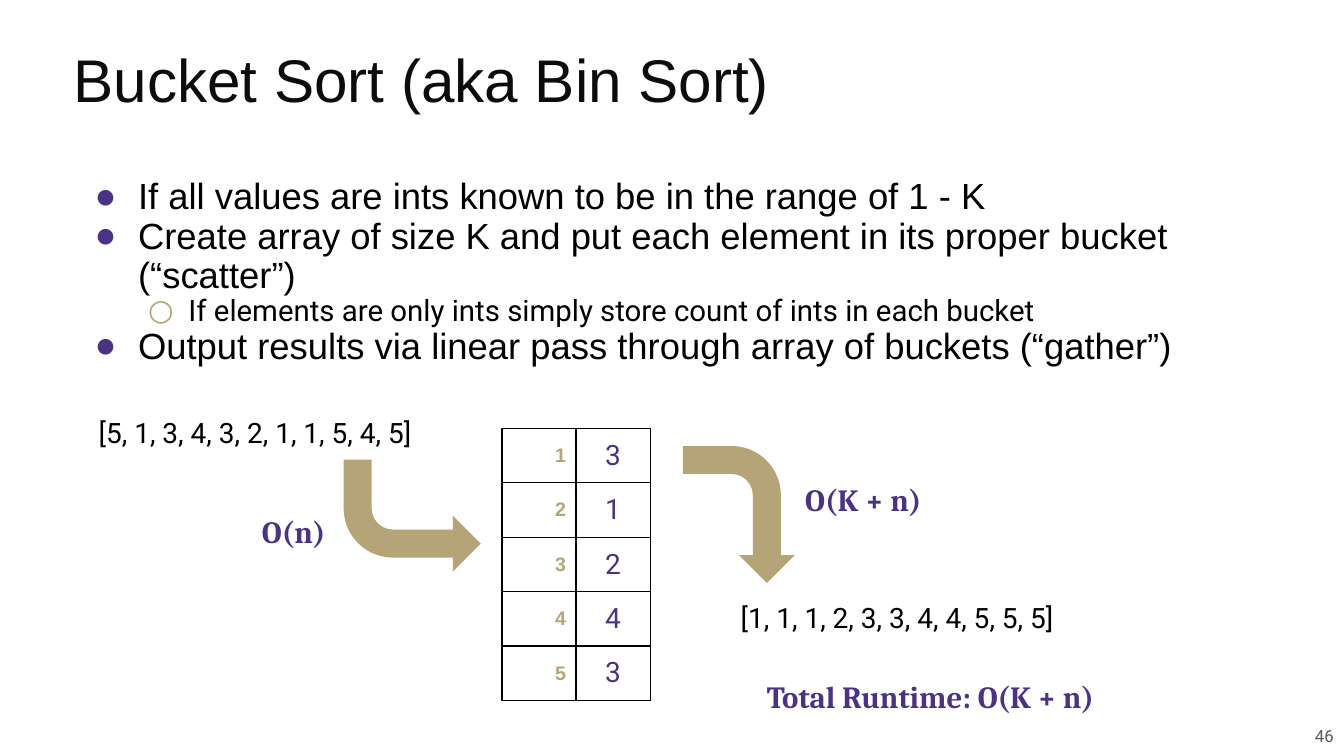
from dataclasses import dataclass
from typing import Any

from lxml import etree
from pptx import Presentation
from pptx import util as u
from pptx.dml.color import RGBColor
from pptx.enum import shapes, text
from pptx.oxml import ns

PURPLE = RGBColor(0x4C, 0x32, 0x82)
GOLD = RGBColor(0xB6, 0xA4, 0x79)
BLACK = RGBColor(0, 0, 0)
INK = RGBColor(0x0C, 0x0C, 0x0C)
GRAY = RGBColor(0x59, 0x59, 0x59)

COLS, ROWS = 160, 90
WIDE, HIGH = u.Inches(13.33), u.Inches(7.5)
LEFT, MID, RIGHT = text.PP_ALIGN.LEFT, text.PP_ALIGN.CENTER, text.PP_ALIGN.RIGHT
TOP, HALF = text.MSO_ANCHOR.TOP, text.MSO_ANCHOR.MIDDLE


@dataclass(frozen=True)
class Style:
    name: str
    size: float
    color: RGBColor
    bold: bool = False


@dataclass(frozen=True)
class Area:
    col: float
    row: float
    cols: float
    rows: float

    def box(self) -> tuple[int, ...]:
        return (round(self.col * WIDE / COLS), round(self.row * HIGH / ROWS),
                round(self.cols * WIDE / COLS), round(self.rows * HIGH / ROWS))


@dataclass(frozen=True)
class Label:
    words: str
    area: Area
    style: Style
    align: Any = LEFT
    anchor: Any = TOP


@dataclass(frozen=True)
class Point:
    words: str
    level: int = 0


@dataclass(frozen=True)
class Arrow:
    area: Area
    turn: int
    flip: bool = False


@dataclass(frozen=True)
class Mark:
    sign: str
    color: RGBColor
    margin: float
    indent: float
    style: Style


TITLE = Style("Arial", 43, INK)
LIST = Style("Roboto", 20, BLACK)
COST = Style("Cambria", 22, PURPLE, True)
INDEX = Style("Arial", 14, GOLD, True)
COUNT = Style("Roboto", 20, PURPLE)
PAGE = Style("Roboto", 12, GRAY)

MARKS = [
    Mark("●", PURPLE, 0.5, -0.43, Style("Arial", 26, BLACK)),
    Mark("○", GOLD, 1, -0.4, Style("Roboto", 21, BLACK)),
]
POINTS = [
    Point("If all values are ints known to be in the range of 1 - K"),
    Point("Create array of size K and put each element in its proper bucket (“scatter”)"),
    Point("If elements are only ints simply store count of ints in each bucket", 1),
    Point("Output results via linear pass through array of buckets (“gather”)"),
]
LABELS = [
    Label("[5, 1, 3, 4, 3, 2, 1, 1, 5, 4, 5]", Area(10.56, 48.24, 41.04, 6.48), LIST),
    Label("[1, 1, 1, 2, 3, 3, 4, 4, 5, 5, 5]", Area(87, 70.32, 41.04, 6.48), LIST),
    Label("O(n)", Area(30, 59.88, 13.32, 6.84), COST),
    Label("O(K + n)", Area(94.68, 56.04, 25.32, 6.84), COST),
    Label("Total Runtime: O(K + n)", Area(90.12, 79.44, 49.08, 6.84), COST),
    Label("46", Area(103.8, 85.2, 56.16, 4.8), PAGE, RIGHT, HALF),
]
ARROWS = [
    Arrow(Area(40.92, 54.72, 16.32, 13.32), 180, True),
    Arrow(Area(79.8, 54.6, 16.32, 13.32), 90),
]
BENDS = [0.25, 0.25, 0.25, 0.44]
COUNTS = [3, 1, 2, 4, 3]


def apply(item: Any, **values: Any) -> None:
    for key, value in values.items():
        setattr(item, key, value)


def pad(item: Any, side: float, edge: float) -> None:
    apply(item, margin_left=u.Inches(side), margin_right=u.Inches(side),
          margin_top=u.Inches(edge), margin_bottom=u.Inches(edge))


def write(para: Any, words: str, style: Style, **values: Any) -> None:
    apply(para, **values)
    run = para.add_run()
    run.text = words
    apply(run.font, name=style.name, size=u.Pt(style.size), bold=style.bold)
    run.font.color.rgb = style.color


def node(root: Any, tag: str, **values: str) -> Any:
    return etree.SubElement(root, ns.qn(tag), values)


def head(slide: Any, area: Area) -> None:
    title = slide.shapes.title
    apply(title, **dict(zip(("left", "top", "width", "height"), area.box())))
    frame = title.text_frame
    apply(frame, word_wrap=True, auto_size=text.MSO_AUTO_SIZE.NONE,
          vertical_anchor=HALF)
    pad(frame, 0.1, 0.05)
    write(frame.paragraphs[0], "Bucket Sort (aka Bin Sort)", TITLE,
          alignment=LEFT, line_spacing=0.8)


def body(slide: Any, area: Area) -> None:
    frame = slide.shapes.add_textbox(*area.box()).text_frame
    frame.word_wrap = True
    pad(frame, 0.05, 0.05)
    for i, point in enumerate(POINTS):
        para = frame.add_paragraph() if i else frame.paragraphs[0]
        mark = MARKS[point.level]
        props = para._p.get_or_add_pPr()
        props.set("marL", str(u.Inches(mark.margin)))
        props.set("indent", str(u.Inches(mark.indent)))
        node(node(props, "a:buClr"), "a:srgbClr", val=str(mark.color))
        node(props, "a:buFont", typeface=mark.style.name)
        node(props, "a:buChar", char=mark.sign)
        write(para, point.words, mark.style, level=point.level, line_spacing=0.9)


def label(slide: Any, item: Label) -> None:
    frame = slide.shapes.add_textbox(*item.area.box()).text_frame
    apply(frame, word_wrap=True, vertical_anchor=item.anchor)
    pad(frame, 0.1, 0.1)
    write(frame.paragraphs[0], item.words, item.style, alignment=item.align)


def arrow(slide: Any, item: Arrow) -> None:
    shape = slide.shapes.add_shape(shapes.MSO_SHAPE.BENT_ARROW, *item.area.box())
    shape.shadow.inherit = False
    shape.rotation = item.turn
    for i, bend in enumerate(BENDS):
        shape.adjustments[i] = bend
    shape.fill.solid()
    shape.fill.fore_color.rgb = GOLD
    shape.line.fill.background()
    if item.flip:
        shape.element.spPr.find(ns.qn("a:xfrm")).set("flipH", "1")


def frame(cell: Any) -> None:
    props = cell._tc.get_or_add_tcPr()
    for side in ("a:lnL", "a:lnR", "a:lnT", "a:lnB"):
        line = node(props, side, w=str(u.Pt(1)))
        node(node(line, "a:solidFill"), "a:srgbClr", val=str(BLACK))
    cell.fill.background()


def buckets(slide: Any, area: Area) -> None:
    grid = slide.shapes.add_table(len(COUNTS), 2, *area.box()).table
    apply(grid, first_row=False, horz_banding=False)
    for i, count in enumerate(COUNTS):
        pair = ((i + 1, INDEX, RIGHT), (count, COUNT, MID))
        for j, (value, style, align) in enumerate(pair):
            cell = grid.cell(i, j)
            frame(cell)
            pad(cell, 0.1, 0.1)
            cell.vertical_anchor = HALF
            write(cell.text_frame.paragraphs[0], str(value), style, alignment=align)


def main() -> None:
    deck = Presentation()
    apply(deck, slide_width=WIDE, slide_height=HIGH)
    slide = deck.slides.add_slide(deck.slide_layouts[5])
    head(slide, Area(7.56, 3.48, 146.76, 13.32))
    body(slide, Area(9.84, 20.64, 142.08, 23.88))
    buckets(slide, Area(59.76, 51, 17.64, 32.4))
    for item in ARROWS:
        arrow(slide, item)
    for item in LABELS:
        label(slide, item)
    deck.save("out.pptx")


if __name__ == "__main__":
    main()
